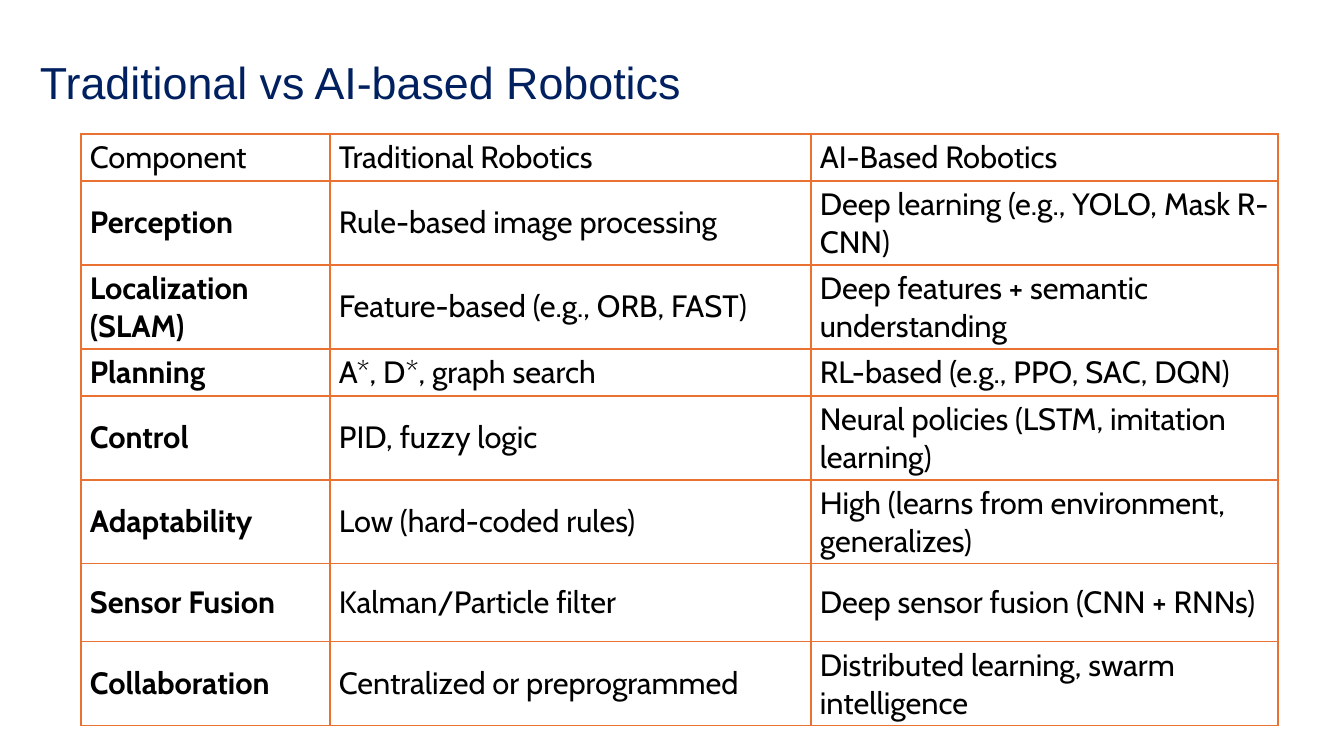
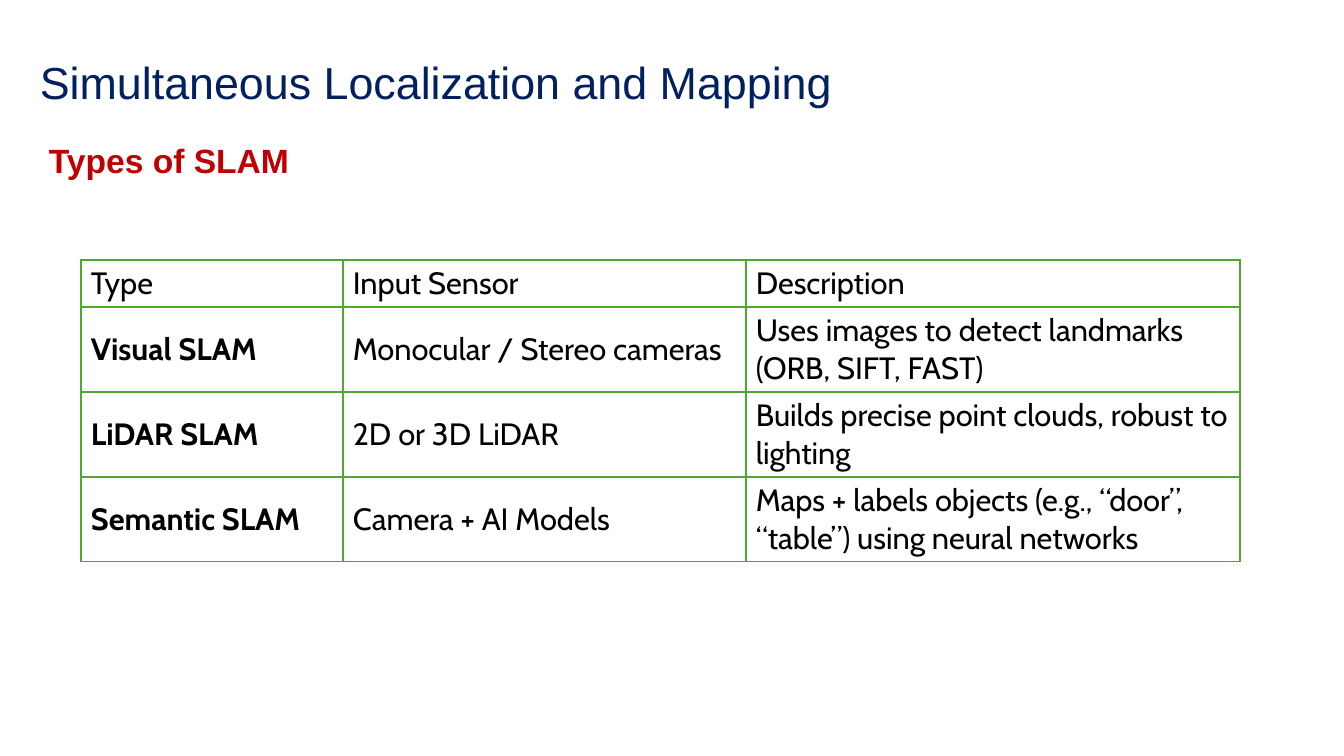
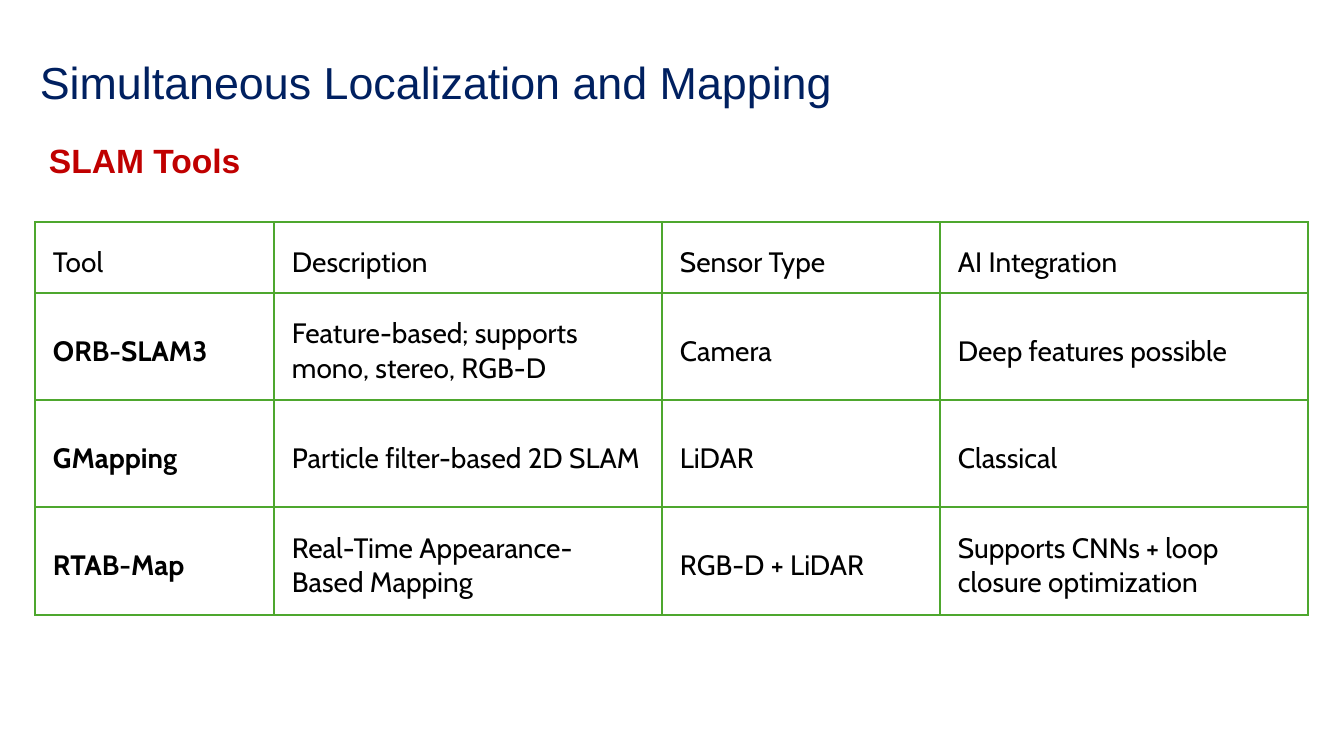
from lxml import etree
from pptx import Presentation
from pptx.dml.color import RGBColor
from pptx.enum import text
from pptx.oxml import ns
from pptx.util import Emu, Pt

SCALE = 914400 / 100.8
COLORS = {"navy": "002060", "red": "C00000", "black": "000000",
          "orange": "E97132", "green": "4EA72E"}
TITLE = {"size": 32, "name": "Arial", "color": "navy", "bold": False}
SUBTITLE = {"size": 24, "name": "Arial", "color": "red", "bold": True}
TITLE_PLACE = (30, 19, 1278, 99)
SUBTITLE_PLACE = (39, 139, 704, 570)

PAGES = [
    {
        "title": "Traditional vs AI-based Robotics",
        "at": (81, 134), "border": "orange", "size": 22, "margins": (9, 5, 9, 5),
        "widths": (249, 481, 467), "heights": (47, 84, 84, 47, 84, 84, 78, 84),
        "rows": [
            ("Component", "Traditional Robotics", "AI-Based Robotics"),
            ("Perception", "Rule-based image processing", "Deep learning (e.g., YOLO, Mask R-CNN)"),
            ("Localization (SLAM)", "Feature-based (e.g., ORB, FAST)", "Deep features + semantic understanding"),
            ("Planning", "A*, D*, graph search", "RL-based (e.g., PPO, SAC, DQN)"),
            ("Control", "PID, fuzzy logic", "Neural policies (LSTM, imitation learning)"),
            ("Adaptability", "Low (hard-coded rules)", "High (learns from environment, generalizes)"),
            ("Sensor Fusion", "Kalman/Particle filter", "Deep sensor fusion (CNN + RNNs)"),
            ("Collaboration", "Centralized or preprogrammed", "Distributed learning, swarm intelligence"),
        ],
    },
    {
        "title": "Simultaneous Localization and Mapping",
        "subtitle": "Types of SLAM",
        "at": (81, 260), "border": "green", "size": 22, "margins": (10, 5, 10, 5),
        "widths": (262, 403, 494), "heights": (47, 85, 85, 85),
        "rows": [
            ("Type", "Input Sensor", "Description"),
            ("Visual SLAM", "Monocular / Stereo cameras", "Uses images to detect landmarks (ORB, SIFT, FAST)"),
            ("LiDAR SLAM", "2D or 3D LiDAR", "Builds precise point clouds, robust to lighting"),
            ("Semantic SLAM", "Camera + AI Models",
             "Maps + labels objects (e.g., “door”, “table”) using neural networks"),
        ],
    },
    {
        "title": "Simultaneous Localization and Mapping",
        "subtitle": "SLAM Tools",
        "at": (35, 222), "border": "green", "size": 20, "margins": (18, 18, 18, 9),
        "widths": (239, 388, 278, 368), "heights": (71, 107, 107, 108),
        "rows": [
            ("Tool", "Description", "Sensor Type", "AI Integration"),
            ("ORB-SLAM3", "Feature-based; supports mono, stereo, RGB-D", "Camera", "Deep features possible"),
            ("GMapping", "Particle filter-based 2D SLAM", "LiDAR", "Classical"),
            ("RTAB-Map", "Real-Time Appearance-Based Mapping", "RGB-D + LiDAR",
             "Supports CNNs + loop closure optimization"),
        ],
    },
]


def px(length):
    return Emu(round(length * SCALE))


def write(para, words, style):
    span = para.add_run()
    span.text = words
    values = {"size": Pt(style["size"]), "name": style["name"], "bold": style["bold"]}
    for key, value in values.items():
        setattr(span.font, key, value)
    span.font.color.rgb = RGBColor.from_string(COLORS[style["color"]])


def add_heading(page, words, place, style, spacing, anchor):
    box = page.shapes.add_textbox(*map(px, place))
    frame = box.text_frame
    frame.word_wrap = True
    frame.vertical_anchor = anchor
    para = frame.paragraphs[0]
    para.line_spacing = spacing
    write(para, words, style)


def add_borders(cell, color):
    props = cell._tc.get_or_add_tcPr()
    for side in ("a:lnL", "a:lnR", "a:lnT", "a:lnB"):
        line = etree.SubElement(props, ns.qn(side), w=str(Pt(1)))
        fill = etree.SubElement(line, ns.qn("a:solidFill"))
        etree.SubElement(fill, ns.qn("a:srgbClr"), val=COLORS[color])


def add_grid(page, content):
    rows, widths, heights = content["rows"], content["widths"], content["heights"]
    place = (*content["at"], sum(widths), sum(heights))
    table = page.shapes.add_table(len(rows), len(widths), *map(px, place)).table
    table.first_row = table.horz_banding = False
    for column, width in zip(table.columns, widths):
        column.width = px(width)
    for row, height in zip(table.rows, heights):
        row.height = px(height)
    sides = ("margin_left", "margin_top", "margin_right", "margin_bottom")
    for r, row in enumerate(rows):
        for c, words in enumerate(row):
            cell = table.cell(r, c)
            for side, margin in zip(sides, content["margins"]):
                setattr(cell, side, px(margin))
            cell.vertical_anchor = text.MSO_ANCHOR.MIDDLE
            add_borders(cell, content["border"])
            cell.fill.background()
            style = {"size": content["size"], "name": "Cabin", "color": "black",
                     "bold": r > 0 and c == 0}
            write(cell.text_frame.paragraphs[0], words, style)


def main():
    deck = Presentation()
    deck.slide_width, deck.slide_height = px(1344), px(756)
    for content in PAGES:
        page = deck.slides.add_slide(deck.slide_layouts[6])
        add_heading(page, content["title"], TITLE_PLACE, TITLE, 1.5, text.MSO_ANCHOR.MIDDLE)
        if "subtitle" in content:
            add_heading(page, content["subtitle"], SUBTITLE_PLACE, SUBTITLE, 0.9, text.MSO_ANCHOR.TOP)
        add_grid(page, content)
    deck.save("out.pptx")


if __name__ == "__main__":
    main()
